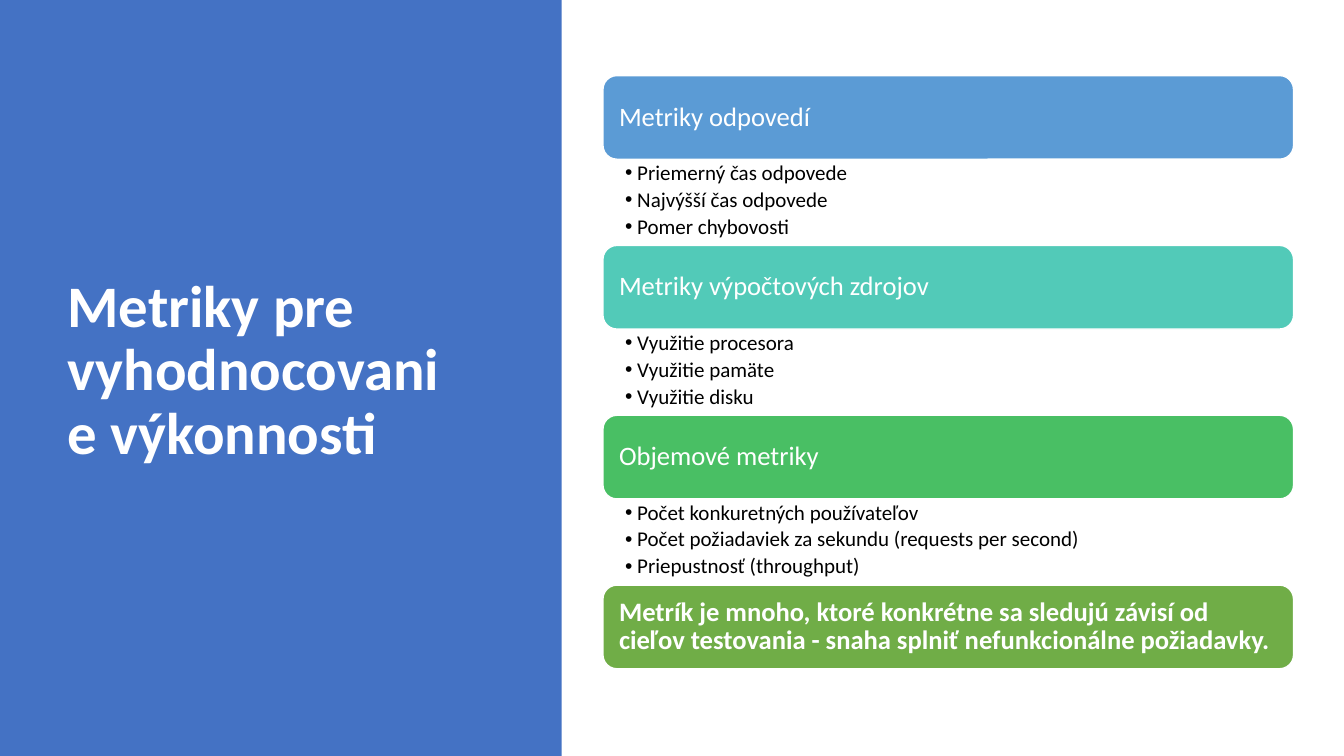
from lxml.etree import SubElement
from pptx import Presentation
from pptx.dml.color import RGBColor
from pptx.enum.shapes import MSO_SHAPE
from pptx.enum.text import MSO_ANCHOR, MSO_AUTO_SIZE, PP_ALIGN
from pptx.oxml.ns import qn
from pptx.util import Inches, Pt

# Content: heading, fill, bold, bullets
TITLE = "Metriky pre vyhodnocovanie výkonnosti"
SECTIONS = [
    ("Metriky odpovedí", "5B9BD5", False,
     ["Priemerný čas odpovede", "Najvýšší čas odpovede", "Pomer chybovosti"]),
    ("Metriky výpočtových zdrojov", "52CAB8", False,
     ["Využitie procesora", "Využitie pamäte", "Využitie disku"]),
    ("Objemové metriky", "49BF64", False,
     ["Počet konkuretných používateľov",
      "Počet požiadaviek za sekundu (requests per second)",
      "Priepustnosť (throughput)"]),
    ("Metrík je mnoho, ktoré konkrétne sa sledujú závisí od cieľov "
     "testovania - snaha splniť nefunkcionálne požiadavky.", "70AD47", True, []),
]

# Layout in inches
LEFT, TOP, WIDTH = 5.98, 0.75, 6.85
BAR_H, LIST_H = 0.83, 0.86
PITCH = BAR_H + LIST_H - 0.005


def color(value):
    return RGBColor.from_string(value)


def write(shape, lines, size, fill="FFFFFF", bold=False, after=0,
          anchor=MSO_ANCHOR.MIDDLE, insets=(0.1, 0.05, 0.1, 0.05), bullet=None):
    tf = shape.text_frame
    tf.word_wrap = True
    tf.auto_size = MSO_AUTO_SIZE.NONE
    tf.vertical_anchor = anchor
    tf.margin_left, tf.margin_top, tf.margin_right, tf.margin_bottom = map(Inches, insets)
    for i, line in enumerate(lines):
        p = tf.add_paragraph() if i else tf.paragraphs[0]
        p.alignment = PP_ALIGN.LEFT
        p.line_spacing = 0.9
        p.space_after = Pt(after)
        r = p.add_run()
        r.text = line
        r.font.name = "Calibri"
        r.font.size = Pt(size)
        r.font.bold = bold
        r.font.color.rgb = color(fill)
        if bullet:
            pPr = p._p.get_or_add_pPr()
            pPr.set("marL", str(Inches(0.12)))
            pPr.set("indent", str(Inches(-0.12)))
            SubElement(pPr, qn("a:buFont"), typeface="Arial")
            SubElement(pPr, qn("a:buChar"), char=bullet)


def add_block(s, kind, box, fill, line=None):
    sp = s.shapes.add_shape(kind, *map(Inches, box))
    sp.shadow.inherit = False
    sp.fill.solid()
    sp.fill.fore_color.rgb = color(fill)
    if line:
        sp.line.color.rgb = color(line)
        sp.line.width = Pt(1)
    else:
        sp.line.fill.background()
    return sp


prs = Presentation()
prs.slide_width, prs.slide_height = Inches(13.33), Inches(7.5)
s = prs.slides.add_slide(prs.slide_layouts[5])

# Title on the blue panel
title = s.shapes.title
title.left, title.top, title.width, title.height = map(Inches, (0.57, 0.68, 4.16, 6.02))
write(title, [TITLE], 42, bold=True)
panel = add_block(s, MSO_SHAPE.RECTANGLE, (0, 0, 5.57, 7.5), "4472C4")
title._element.addprevious(panel._element)

# Metric bars, each followed by its bullets
for i, (heading, fill, bold, bullets) in enumerate(SECTIONS):
    top = TOP + i * PITCH
    bar = add_block(s, MSO_SHAPE.ROUNDED_RECTANGLE, (LEFT, top, WIDTH, BAR_H), fill, "FFFFFF")
    write(bar, [heading], 19, bold=bold, insets=(0.12, 0.12, 0.12, 0.12))
    if bullets:
        box = s.shapes.add_textbox(*map(Inches, (LEFT, top + BAR_H, WIDTH, LIST_H)))
        write(box, bullets, 15, fill="000000", after=3, anchor=MSO_ANCHOR.TOP,
              insets=(0.22, 0.03, 0.15, 0.03), bullet="•")

prs.save("out.pptx")
